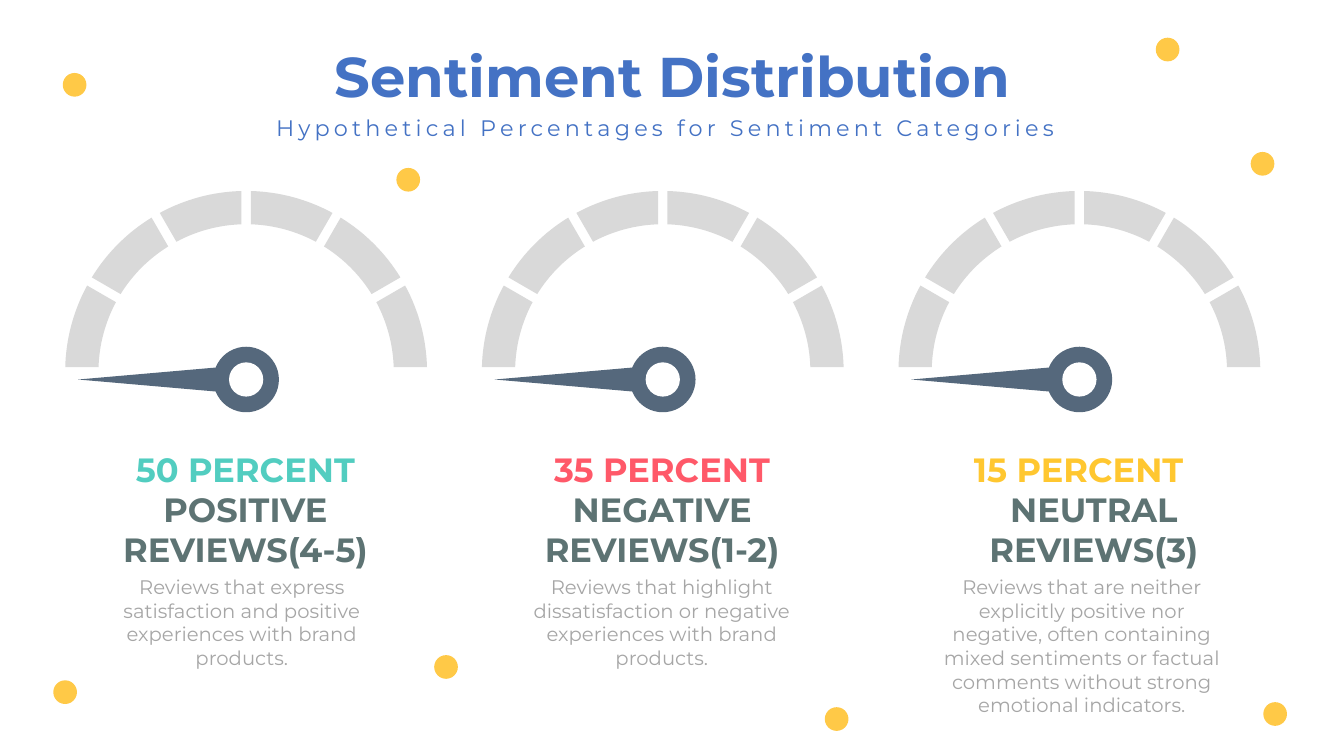
import math
from typing import NamedTuple

import pptx
import pptx.dml.color
import pptx.enum.shapes
import pptx.enum.text
import pptx.util

SLIDE_WIDTH, SLIDE_HEIGHT = pptx.util.Inches(13.33), pptx.util.Inches(7.5)
COLUMNS, ROWS = 160, 90
FONT = "Montserrat"
BLUE, GREY, SLATE = "4472C4", "D9D9D9", "55687C"
LABEL_GREEN, BODY_GREY, DOT_YELLOW, WHITE = "5D7373", "A6A6A6", "FFC947", "FFFFFF"

GAUGE_PITCH, BODY_PITCH = 49.6, 50
FIRST_GAUGE, ARC_ROW, HUB_ROW = 29.3, 44.28, 45.18
OUTER_RADIUS, INNER_RADIUS, HALF_GAP = 21.54, 17.58, 0.56
SEGMENTS, ARC_STEPS = 6, 16
HUB_SIZE, HUB_HOLE_SIZE = 7.8, 4.08
NEEDLE_LENGTH, NEEDLE_RADIUS = 20, 1.74
DOT_SIZE = 2.82

Shape = pptx.enum.shapes.MSO_SHAPE


class Point(NamedTuple):
    column: float
    row: float


class Area(NamedTuple):
    column: float
    row: float
    columns: float
    rows: float


class Gauge(NamedTuple):
    percent: str
    colour: str
    label: list[str]
    label_columns: float
    body: str
    body_rows: float


GAUGES = [
    Gauge("50 PERCENT", "52CDC0", ["POSITIVE", "REVIEWS(4-5)"], 40.68,
          "Reviews that express satisfaction and positive experiences "
          "with brand products.", 12.48),
    Gauge("35 PERCENT", "FF5969", ["NEGATIVE", "REVIEWS(1-2)"], 40.68,
          "Reviews that highlight dissatisfaction or negative experiences "
          "with brand products.", 12.48),
    Gauge("15 PERCENT", "FFC730", ["NEUTRAL", "REVIEWS(3)"], 44.28,
          "Reviews that are neither explicitly positive nor negative, often "
          "containing mixed sentiments or factual comments without strong "
          "emotional indicators.", 18.12),
]
DOTS = [
    Point(8.88, 10.1), Point(99.6, 85.6), Point(150.3, 19.5), Point(139, 5.9),
    Point(151.8, 85), Point(53.1, 79.4), Point(7.75, 82.4), Point(48.6, 21.4),
]


def across(columns: float) -> int:
    return round(SLIDE_WIDTH * columns / COLUMNS)


def down(rows: float) -> int:
    return round(SLIDE_HEIGHT * rows / ROWS)


def rgb(colour: str) -> pptx.dml.color.RGBColor:
    return pptx.dml.color.RGBColor.from_string(colour)


def paint(shape, colour: str) -> None:
    shape.shadow.inherit = False
    shape.fill.solid()
    shape.fill.fore_color.rgb = rgb(colour)
    shape.line.fill.background()


def add_round(page, kind: Shape, centre: Point, size: float, colour: str):
    """Draw a preset shape of equal width and height around a centre."""
    shape = page.shapes.add_shape(
        kind, across(centre.column - size / 2), down(centre.row - size / 2),
        across(size), down(size))
    paint(shape, colour)
    return shape


def add_outline(page, points: list[Point], colour: str) -> None:
    corners = [(across(point.column), down(point.row)) for point in points]
    builder = page.shapes.build_freeform(*corners[0])
    builder.add_line_segments(corners[1:], close=True)
    paint(builder.convert_to_shape(), colour)


def arc(centre: Point, radius: float, start: float, end: float) -> list[Point]:
    """Points from start to end, in radians anticlockwise from the right."""
    angles = [start + (end - start) * step / ARC_STEPS for step in range(ARC_STEPS + 1)]
    return [Point(centre.column + radius * math.cos(angle),
                  centre.row - radius * math.sin(angle)) for angle in angles]


def add_dial(page, centre: Point) -> None:
    """Draw ring segments parted by gaps of even width."""
    sweep = math.pi / SEGMENTS
    outer_trim = math.asin(HALF_GAP / OUTER_RADIUS)
    inner_trim = math.asin(HALF_GAP / INNER_RADIUS)
    for index in range(SEGMENTS):
        start, end = index * sweep, (index + 1) * sweep
        outer = arc(centre, OUTER_RADIUS, start + outer_trim, end - outer_trim)
        inner = arc(centre, INNER_RADIUS, end - inner_trim, start + inner_trim)
        add_outline(page, outer + inner, GREY)


def add_needle(page, hub: Point) -> None:
    donut = add_round(page, Shape.DONUT, hub, HUB_SIZE, SLATE)
    donut.adjustments[0] = 0.42
    tip = Point(hub.column - NEEDLE_LENGTH, hub.row)
    tail = arc(hub, NEEDLE_RADIUS, math.pi / 2, -math.pi / 2)
    add_outline(page, [tip] + tail, SLATE)
    add_round(page, Shape.OVAL, hub, HUB_HOLE_SIZE, WHITE)


def add_text(page, area: Area, lines: list[str], size: float, colour: str,
             bold: bool = False, spacing: float = 0) -> None:
    box = page.shapes.add_textbox(across(area.column), down(area.row),
                                  across(area.columns), down(area.rows))
    frame = box.text_frame
    frame.word_wrap = True
    frame.auto_size = pptx.enum.text.MSO_AUTO_SIZE.SHAPE_TO_FIT_TEXT
    font_format = {"name": FONT, "size": pptx.util.Pt(size), "bold": bold}
    for index, line in enumerate(lines):
        para = frame.add_paragraph() if index else frame.paragraphs[0]
        para.alignment = pptx.enum.text.PP_ALIGN.CENTER
        span = para.add_run()
        span.text = line
        for name, value in font_format.items():
            setattr(span.font, name, value)
        span.font.color.rgb = rgb(colour)
        if spacing:
            span._r.get_or_add_rPr().set("spc", str(round(spacing * 100)))


def add_gauge(page, index: int, gauge: Gauge) -> None:
    shift = index * GAUGE_PITCH
    centre_column = FIRST_GAUGE + shift
    add_dial(page, Point(centre_column, ARC_ROW))
    add_needle(page, Point(centre_column, HUB_ROW))
    add_text(page, Area(14.5 + shift, 52.8, 29.4, 6), [gauge.percent], 24,
             gauge.colour, bold=True)
    add_text(page, Area(8.88 + shift, 57.6, gauge.label_columns, 10.92),
             gauge.label, 24, LABEL_GREEN, bold=True)
    add_text(page, Area(9.84 + index * BODY_PITCH, 67.9, 37.92, gauge.body_rows),
             [gauge.body], 14, BODY_GREY)


def main() -> None:
    deck = pptx.Presentation()
    deck.slide_width, deck.slide_height = SLIDE_WIDTH, SLIDE_HEIGHT
    page = deck.slides.add_slide(deck.slide_layouts[6])
    for index, gauge in enumerate(GAUGES):
        add_gauge(page, index, gauge)
    add_text(page, Area(32.28, 4.36, 95.52, 9.24), ["Sentiment Distribution"],
             40, BLUE, bold=True)
    add_text(page, Area(23.04, 13, 112.44, 4.44),
             ["Hypothetical Percentages for Sentiment Categories"], 16, BLUE, spacing=3)
    for dot in DOTS:
        add_round(page, Shape.OVAL, dot, DOT_SIZE, DOT_YELLOW)
    deck.save("out.pptx")


if __name__ == "__main__":
    main()
